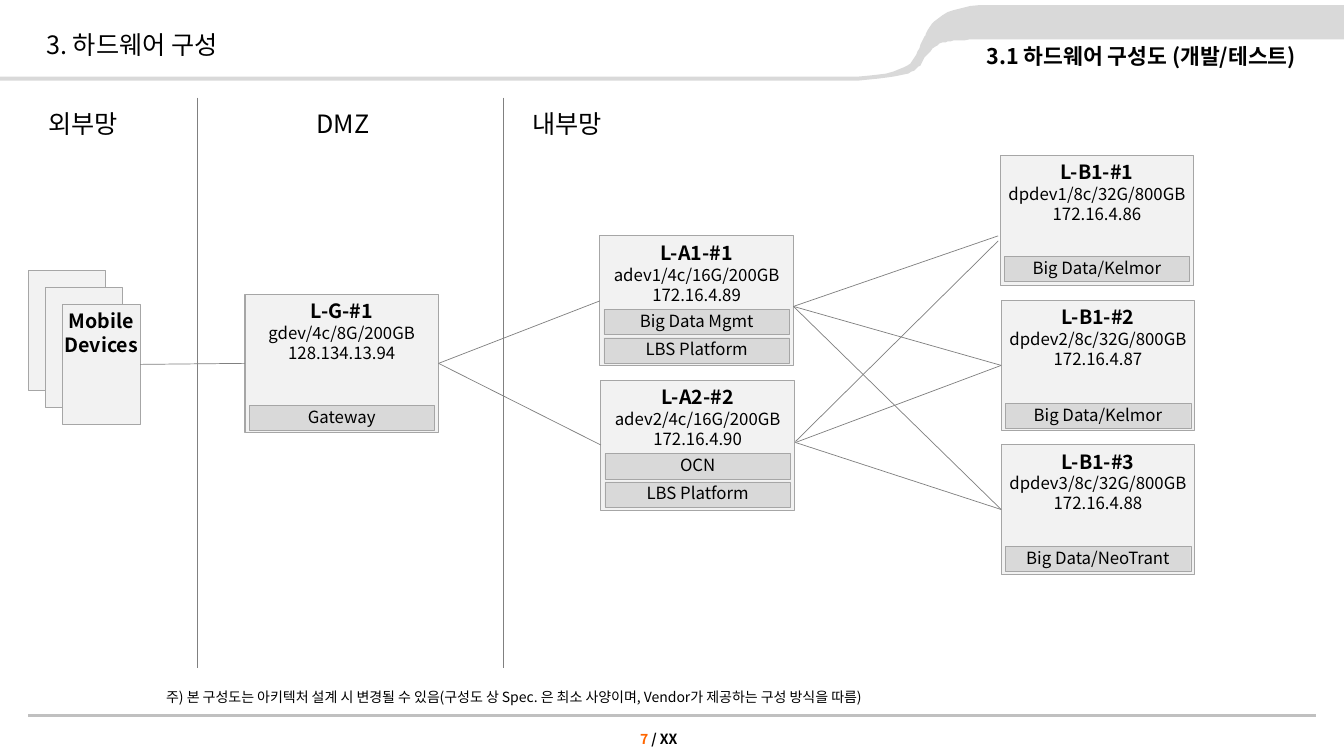
from dataclasses import dataclass
from lxml import etree
from pptx import Presentation
from pptx.dml.color import RGBColor
from pptx.enum.shapes import MSO_CONNECTOR as Wire, MSO_SHAPE as Preset
from pptx.enum.text import MSO_ANCHOR as Anchor, MSO_AUTO_SIZE as Fit, PP_ALIGN as Align
from pptx.oxml.ns import qn
from pptx.util import Pt

PX = 9144  # 100 px to the inch


@dataclass(frozen=True)
class Theme:
    font: str = "Noto Sans CJK KR"
    black: RGBColor = RGBColor(0x00, 0x00, 0x00)
    orange: RGBColor = RGBColor(0xFF, 0x66, 0x00)
    panel: RGBColor = RGBColor(0xF2, 0xF2, 0xF2)
    band: RGBColor = RGBColor(0xD9, 0xD9, 0xD9)
    edge: RGBColor = RGBColor(0xA6, 0xA6, 0xA6)
    wire: RGBColor = RGBColor(0x80, 0x80, 0x80)
    rule: RGBColor = RGBColor(0xC0, 0xC0, 0xC0)
    heading: float = 18
    subtitle: float = 15.4
    name: float = 14
    detail: float = 12
    small: float = 10


theme = Theme()


def write(box, lines, align=Align.LEFT, anchor=Anchor.TOP, wrap=False, inset=(10, 5)):
    """Each line is a list of (text, size, bold, colour) runs."""
    frame = box.text_frame
    frame.auto_size = Fit.NONE
    frame.word_wrap = wrap
    frame.vertical_anchor = anchor
    frame.margin_left = frame.margin_right = inset[0] * PX
    frame.margin_top = frame.margin_bottom = inset[1] * PX
    for index, line in enumerate(lines):
        para = frame.add_paragraph() if index else frame.paragraphs[0]
        para.alignment = align
        for text, size, bold, colour in line:
            span = para.add_run()
            span.text = text
            span.font.size = Pt(size)
            span.font.bold = bold
            span.font.color.rgb = colour
            span.font.name = theme.font
            east_asian = etree.SubElement(span.font._element, qn("a:ea"))
            east_asian.set("typeface", theme.font)
    return frame.paragraphs[0]


def add_block(left, top, width, height, fill, edge_width):
    block = page.shapes.add_shape(Preset.RECTANGLE, left * PX, top * PX, width * PX, height * PX)
    block.shadow.inherit = False
    block.fill.solid()
    block.fill.fore_color.rgb = fill
    block.line.color.rgb = theme.edge
    block.line.width = Pt(edge_width)
    return block


deck = Presentation()
deck.slide_width, deck.slide_height = 1333 * PX, 750 * PX
page = deck.slides.add_slide(deck.slide_layouts[5])

# Header ribbon: straight steps have one point, curves have three
ribbon_steps = [
    [(851, 76)], [(913, 72), (905, 58), (917, 36)], [(920, 35), (924, 0), (996, 5)],
    [(1333, 5)], [(1333, 39)], [(967, 39)], [(939, 41), (933, 38), (917, 57)],
    [(912, 68), (910, 76), (851, 80)], [(0, 80)],
]
pen = (0, 76)
outline = []
for step in ribbon_steps:
    if len(step) == 1:
        outline += step
    else:
        for t in [i / 16 for i in range(1, 17)]:
            weights = ((1 - t) ** 3, 3 * t * (1 - t) ** 2, 3 * t * t * (1 - t), t ** 3)
            outline.append(tuple(sum(w * p[axis] for w, p in zip(weights, [pen, *step]))
                                 for axis in (0, 1)))
    pen = step[-1]
builder = page.shapes.build_freeform(0, 76, scale=PX)
builder.add_line_segments(outline, close=True)
ribbon = builder.convert_to_shape()
ribbon.shadow.inherit = False
ribbon.fill.solid()
ribbon.fill.fore_color.rgb = theme.band
ribbon.line.fill.background()

# Title
title = page.shapes.title
title.left, title.top, title.width, title.height = 36 * PX, 20 * PX, 709 * PX, 48 * PX
write(title, [[("3. 하드웨어 구성", theme.heading, False, theme.black)]],
      anchor=Anchor.MIDDLE, wrap=True)

# Subtitle, zone names, footnote and page number
labels = {}
for key, place, runs in [
    ("subtitle", (924, 45, 371, 28),
     [("3.1 하드웨어 구성도 (개발/테스트)", theme.subtitle, True, theme.black)]),
    ("outside", (38, 103, 96, 40), [("외부망", theme.heading, False, theme.black)]),
    ("dmz", (304, 103, 76, 40), [("DMZ", theme.heading, False, theme.black)]),
    ("inside", (518, 103, 97, 40), [("내부망", theme.heading, False, theme.black)]),
    ("note", (155, 678, 793, 27),
     [("주) 본 구성도는 아키텍처 설계 시 변경될 수 있음(구성도 상 Spec. 은 최소 사양이며, "
       "Vendor가 제공하는 구성 방식을 따름)", theme.small, False, theme.black)]),
    ("number", (625, 725, 73, 17),
     [("7", theme.small, True, theme.orange), (" / XX", theme.small, True, theme.black)]),
]:
    box = page.shapes.add_textbox(*[value * PX for value in place])
    is_subtitle = key == "subtitle"
    labels[key] = write(box, [runs], Align.RIGHT if is_subtitle else Align.LEFT,
                        Anchor.MIDDLE if is_subtitle else Anchor.TOP, is_subtitle,
                        (10, 0) if key == "number" else (10, 5))
labels["subtitle"].line_spacing = 0.7
labels["subtitle"].space_before = Pt(10)
labels["number"].space_before = Pt(5)

# Stacked mobile devices
nodes = {}
for offset in (0, 17, 34):
    nodes["mobile"] = add_block(28 + offset, 268 + offset, 77, 119, theme.panel, 0.75)
write(nodes["mobile"], [[(word, theme.name, True, theme.black)] for word in ("Mobile", "Devices")],
      Align.CENTER)

# Servers, each with its software bands as (top, name)
for name, detail, address, left, top, height, bands in [
    ("L-G-#1", "gdev/4c/8G/200GB", "128.134.13.94", 243, 292, 137, [(402, "Gateway")]),
    ("L-A1-#1", "adev1/4c/16G/200GB", "172.16.4.89", 595, 234, 129,
     [(307, "Big Data Mgmt"), (335, "LBS Platform")]),
    ("L-A2-#2", "adev2/4c/16G/200GB", "172.16.4.90", 596, 377, 129,
     [(450, "OCN"), (478, "LBS Platform")]),
    ("L-B1-#1", "dpdev1/8c/32G/800GB", "172.16.4.86", 992, 154, 129, [(254, "Big Data/Kelmor")]),
    ("L-B1-#2", "dpdev2/8c/32G/800GB", "172.16.4.87", 993, 298, 129, [(400, "Big Data/Kelmor")]),
    ("L-B1-#3", "dpdev3/8c/32G/800GB", "172.16.4.88", 993, 441, 129, [(542, "Big Data/NeoTrant")]),
]:
    nodes[name] = add_block(left, top, 192, height, theme.panel, 0.75)
    write(nodes[name], [[(name, theme.name, True, theme.black)],
                        [(detail, theme.detail, False, theme.black)],
                        [(address, theme.detail, False, theme.black)]], Align.CENTER)
    for band_top, software in bands:
        band = add_block(left + 4, band_top, 184, 25, theme.band, 0.25)
        para = write(band, [[(software, theme.detail, False, theme.black)]],
                     Align.CENTER, Anchor.MIDDLE, True, (0, 0))
        para.line_spacing = 0.9

# Zone dividers, footer rule and network wires; named ends join a server's side
for start, end, source, target in [
    ((196, 97), (196, 663), None, None),
    ((499, 97), (499, 663), None, None),
    ((28, 710), (1305, 710), None, None),
    ((138, 361), (243, 360), "mobile", "L-G-#1"),
    ((436, 360), (595, 298), "L-G-#1", "L-A1-#1"),
    ((436, 360), (596, 442), "L-G-#1", "L-A2-#2"),
    ((787, 304), (990, 234), None, None),
    ((787, 304), (993, 363), None, "L-B1-#2"),
    ((787, 304), (993, 505), None, "L-B1-#3"),
    ((789, 438), (990, 239), None, None),
    ((789, 439), (993, 363), None, "L-B1-#2"),
    ((789, 439), (993, 505), None, "L-B1-#3"),
]:
    wire = page.shapes.add_connector(Wire.STRAIGHT, *[value * PX for value in start + end])
    is_rule = start[1] == end[1]
    wire.line.color.rgb = theme.rule if is_rule else theme.wire
    wire.line.width = Pt(2 if is_rule else 0.5)
    etree.SubElement(wire._element.spPr, qn("a:effectLst"))
    if source:
        wire.begin_connect(nodes[source], 3)
    if target:
        wire.end_connect(nodes[target], 1)

deck.save("out.pptx")
